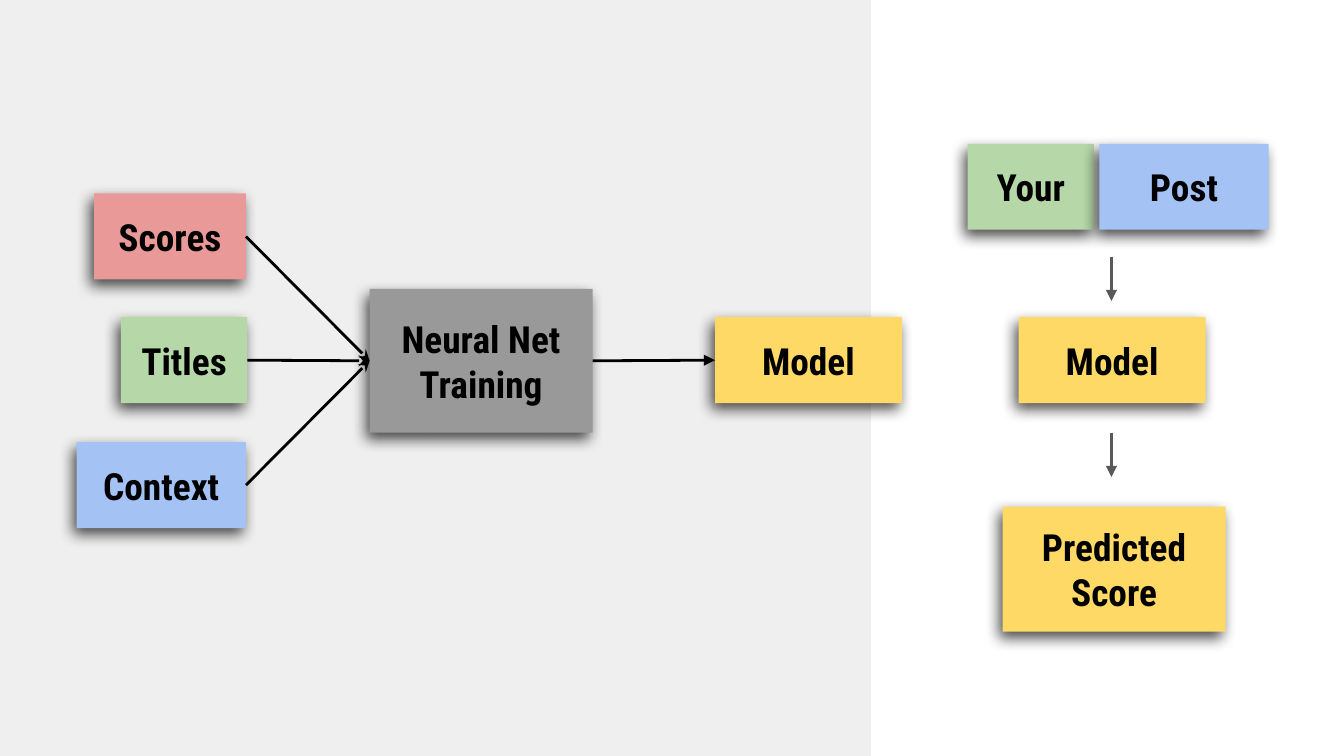
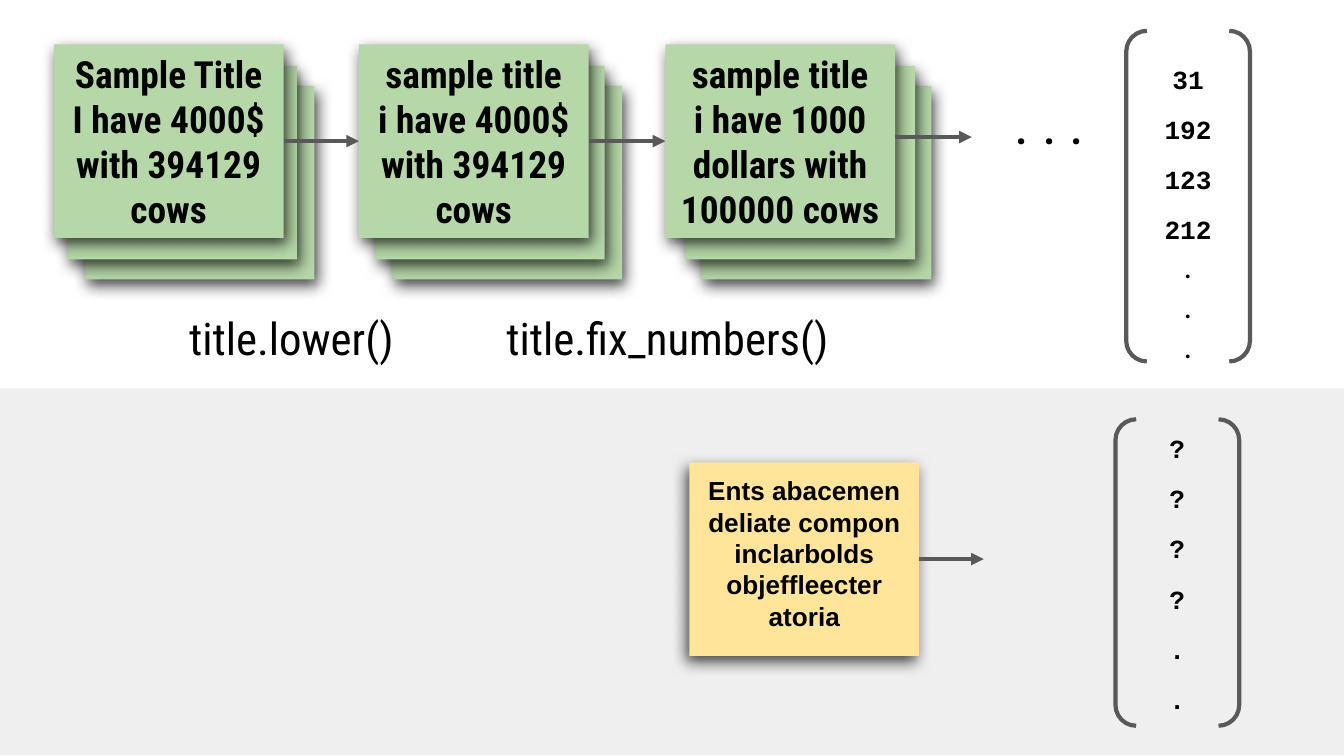
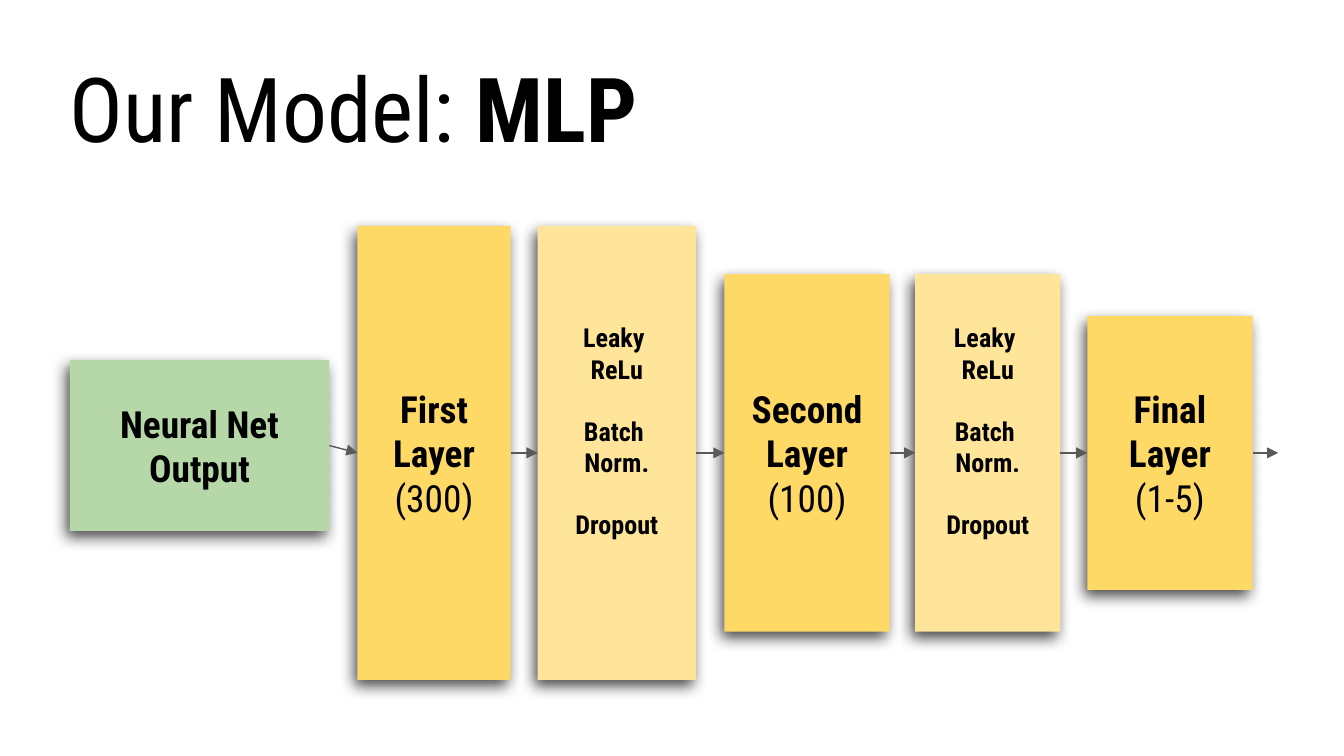
"""Build three slides that explain a neural net for post scores."""
from lxml import etree
from pptx import Presentation
from pptx import util as u
from pptx.dml import color
from pptx.enum import shapes, text
from pptx.oxml import ns

COLORS = {
    "band": "EFEFEF", "green": "B6D7A8", "blue": "A4C2F4", "red": "EA9999",
    "gray": "999999", "gold": "FFD966", "cream": "FFE599",
    "dark": "595959", "black": "000000",
}
FONT = "Roboto Condensed"


def rgb(name):
    return color.RGBColor.from_string(COLORS[name])


def write(frame, words, size=20, bold=True, font=FONT, align="CENTER",
          before=0, join=False):
    for line in words.split("\n"):
        para = frame.paragraphs[-1]
        if para.runs and not join:
            para = frame.add_paragraph()
        para.alignment = getattr(text.PP_ALIGN, align)
        para.space_before = u.Pt(before)
        run = para.add_run()
        run.text = line
        run.font.size = u.Pt(size)
        run.font.bold = bold
        run.font.name = font
        run.font.color.rgb = rgb("black")


class Deck:
    def __init__(self):
        self.show = Presentation()
        self.show.slide_width = u.Inches(10)
        self.show.slide_height = u.Inches(10) * 9 // 16
        self.slide = None

    def start(self):
        self.slide = self.show.slides.add_slide(self.show.slide_layouts[6])

    def shape(self, kind, place):
        item = self.slide.shapes.add_shape(kind, *map(u.Inches, place))
        item.shadow.inherit = False
        return item

    def pad(self, frame, foot=0.1):
        frame.word_wrap = True
        frame.margin_left = frame.margin_right = frame.margin_top = u.Inches(0.1)
        frame.margin_bottom = u.Inches(foot)

    def band(self, place, fill="band"):
        item = self.shape(shapes.MSO_SHAPE.RECTANGLE, place)
        item.fill.solid()
        item.fill.fore_color.rgb = rgb(fill)
        item.line.fill.background()
        return item

    def box(self, place, fill, words="", angle=120, foot=0.1, **style):
        item = self.band(place, fill)
        effects = item.element.spPr.find(ns.qn("a:effectLst"))
        shade = etree.SubElement(
            effects, ns.qn("a:outerShdw"), blurRad=str(u.Pt(7.9)),
            dist=str(u.Pt(3.8)), dir=str(angle * 60000), algn="bl", rotWithShape="0")
        tint = etree.SubElement(shade, ns.qn("a:srgbClr"), val=COLORS["black"])
        etree.SubElement(tint, ns.qn("a:alpha"), val="71000")
        self.pad(item.text_frame, foot)
        item.text_frame.vertical_anchor = text.MSO_ANCHOR.MIDDLE
        if words:
            write(item.text_frame, words, **style)
        return item

    def label(self, place, words, **style):
        frame = self.slide.shapes.add_textbox(*map(u.Inches, place)).text_frame
        self.pad(frame)
        write(frame, words, **style)
        return frame

    def brackets(self, place):
        item = self.shape(shapes.MSO_SHAPE.DOUBLE_BRACKET, place)
        item.fill.background()
        item.line.color.rgb = rgb("dark")
        item.line.width = u.Pt(2.25)

    def arrow(self, start, end, width=1.5, tint="dark", head="triangle"):
        """Draw from start to end, each a point or a box to join at its side."""
        spots = [p if isinstance(p, tuple) else (0, 0) for p in (start, end)]
        line = self.slide.shapes.add_connector(
            shapes.MSO_CONNECTOR.STRAIGHT, *(u.Inches(n) for p in spots for n in p))
        if not isinstance(start, tuple):
            line.begin_connect(start, 3)
        if not isinstance(end, tuple):
            line.end_connect(end, 1)
        line.line.color.rgb = rgb(tint)
        line.line.width = u.Pt(width)
        props = line.element.spPr
        etree.SubElement(props.find(ns.qn("a:ln")), ns.qn("a:tailEnd"), type=head)
        etree.SubElement(props, ns.qn("a:effectLst"))


def flow(deck):
    deck.start()
    deck.band((0, 0, 6.48, 5.66))
    titles, context, scores = [
        deck.box((left, top, width, 0.64), fill, words)
        for left, top, width, fill, words in (
            (0.9, 2.36, 0.94, "green", "Titles"),
            (0.57, 3.29, 1.26, "blue", "Context"),
            (0.7, 1.44, 1.13, "red", "Scores"))]
    net = deck.box((2.75, 2.15, 1.66, 1.07), "gray", "Neural Net Training")
    model = deck.box((5.32, 2.36, 1.39, 0.64), "gold", "Model")
    for item in (scores, titles, context):
        deck.arrow(item, net, tint="black", head="stealth")
    deck.arrow(net, model, tint="black")

    deck.box((7.58, 2.36, 1.39, 0.64), "gold", "Model")
    deck.box((7.2, 1.07, 0.94, 0.64), "green", "Your")
    deck.box((8.18, 1.07, 1.26, 0.64), "blue", "Post")
    for top in (1.91, 3.22):
        deck.arrow((8.27, top), (8.27, top + 0.33))
    deck.box((7.46, 3.77, 1.66, 0.93), "gold", "Predicted Score")


def titles(deck):
    deck.start()
    deck.band((-0.02, 2.89, 10.07, 2.73))
    size = (1.71, 1.44)
    for back, mid in ((5.22, 5.1), (2.92, 2.79), (0.63, 0.5)):
        deck.box((back, 0.64, *size), "green", angle=66)
        deck.box((mid, 0.49, *size), "green", angle=66)
    cards = [
        deck.box((left, 0.33, *size), "green", words, angle=66)
        for left, words in (
            (0.4, "Sample Title I have 4000$ with 394129 cows"),
            (2.67, "sample title\ni have 4000$ with 394129 cows"),
            (4.95, "sample title\ni have 1000 dollars with 100000 cows"))]
    for left, right in zip(cards, cards[1:]):
        deck.arrow(left, right, 2.25)
    deck.arrow((6.66, 1.02), (7.23, 1.02), 2.25)
    for place, words, points in (
            ((1.31, 2.21, 1.84, 0.58), "title.lower()", 24),
            ((3.67, 2.21, 2.87, 0.58), "title.fix_numbers()", 24),
            ((7.45, 0.56, 1.25, 0.82), ". . .", 30)):
        deck.label(place, words, size=points, bold=False, align="LEFT")

    note = deck.box(
        (5.13, 3.44, *size), "cream",
        "Ents abacemen deliate compon inclarbolds objeffleecter atoria",
        foot=0.19, size=14, font="Arial")
    deck.arrow(note, (7.32, 4.16), 2.25)

    code = {"size": 14, "font": "Courier New"}
    deck.brackets((8.38, 0.23, 0.92, 2.46))
    known = deck.label((8.38, 0.37, 0.92, 2.23), "31", **code)
    write(known, "192\n123\n212", before=10, **code)
    write(known, ".\n.\n.", size=18, bold=False)
    deck.brackets((8.3, 3.12, 0.92, 2.28))
    wanted = deck.label((8.3, 3.12, 0.92, 2.23), "?", **code)
    write(wanted, "?\n?\n?\n.\n.", before=10, **code)


def layers(deck):
    deck.start()
    middle = 3.37
    chain = [deck.box((0.52, 2.68, 1.93, 1.27), "green", "Neural Net Output")]
    for left, width, height, name, count in (
            (2.66, 1.14, 3.38, "First Layer", "(300)"),
            (4, 1.18, 3.38, "", ""),
            (5.39, 1.23, 2.66, "Second Layer", "(100)"),
            (6.81, 1.08, 2.66, "", ""),
            (8.09, 1.23, 2.04, "Final Layer", "(1-5)")):
        place = (left, middle - height / 2, width, height)
        if name:
            item = deck.box(place, "gold", name)
            write(item.text_frame, count, bold=False)
        else:
            item = deck.box(place, "cream", "Leaky \nReLu", foot=0.43, size=14)
            for words, gap in (("Batch ", 16.5), ("Norm.", 0), ("Dropout", 16.5)):
                write(item.text_frame, words, size=14, before=gap)
        chain.append(item)
    for left, right in zip(chain, chain[1:] + [(9.51, middle)]):
        deck.arrow(left, right, 0.75)
    title = deck.label((0.42, 0.29, 5.74, 0.75), "Our Model: ",
                       size=48, bold=False, align="LEFT")
    write(title, "MLP", size=48, align="LEFT", join=True)


def main():
    deck = Deck()
    for build in (flow, titles, layers):
        build(deck)
    deck.show.save("out.pptx")


if __name__ == "__main__":
    main()
